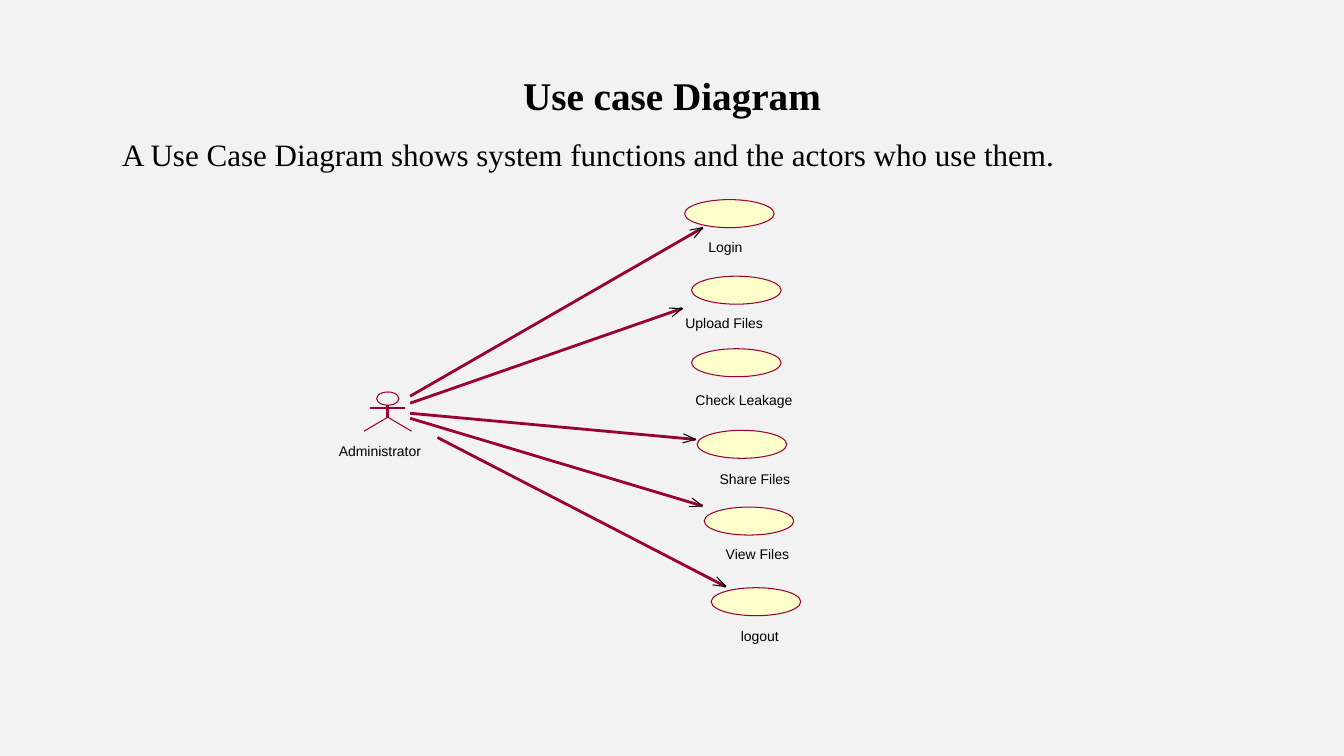
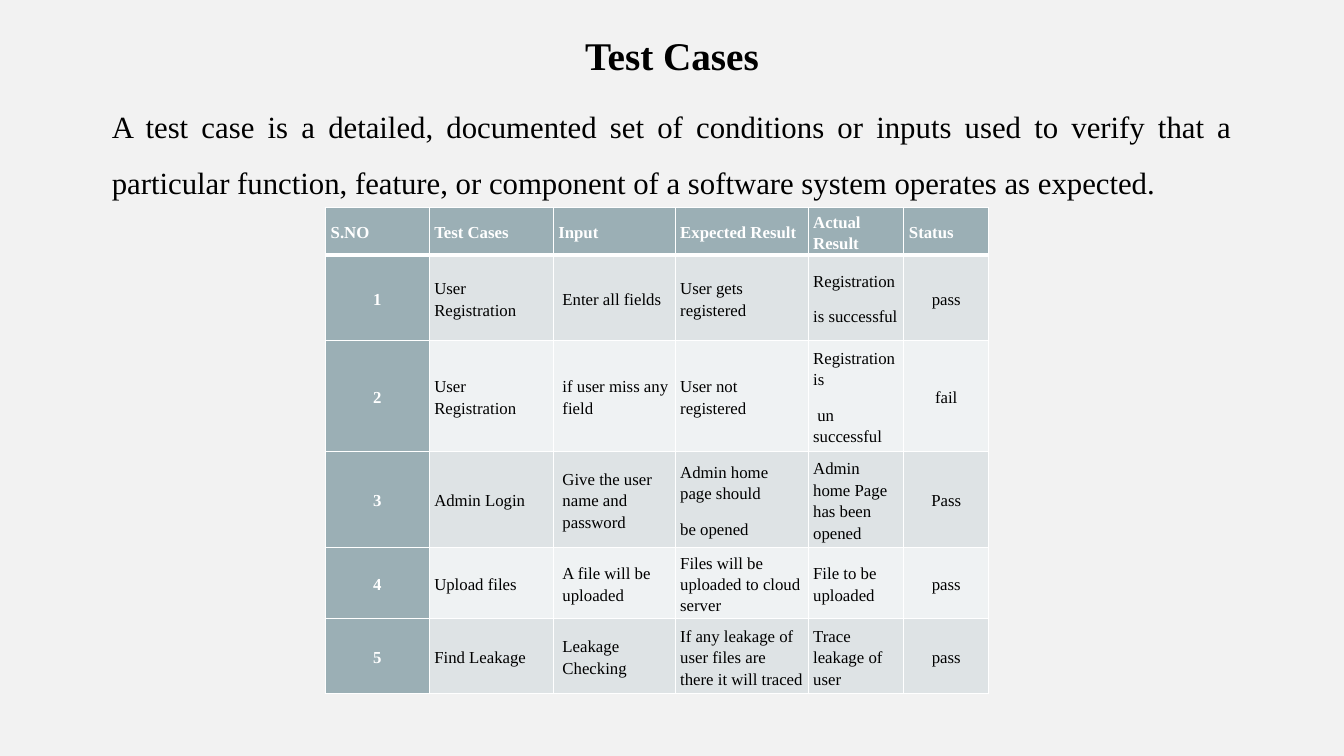
from dataclasses import dataclass
from math import atan2, cos, radians, sin

from lxml.etree import SubElement
from pptx import Presentation
from pptx.dml.color import RGBColor as Color
from pptx.enum.shapes import MSO_CONNECTOR as Connector, MSO_SHAPE as Preset
from pptx.enum.text import MSO_ANCHOR as Anchor, MSO_AUTO_SIZE as AutoSize, PP_ALIGN as Align
from pptx.oxml.ns import qn
from pptx.util import Pt


@dataclass(frozen=True)
class Theme:
    """Colours, fonts and type sizes of the deck."""
    background: str = "F2F2F2"
    text: str = "000000"
    white: str = "FFFFFF"
    outline: str = "990033"
    use_case: str = "FFFFCC"
    header: str = "9BAFB5"
    bands: tuple = ("DEE3E5", "EFF2F3")
    serif: str = "Times New Roman"
    sans: str = "Arial"
    title_size: float = 28
    body_size: float = 22
    table_size: float = 12
    label_size: float = 10


@dataclass(frozen=True)
class Box:
    """A rectangle in points."""
    left: float
    top: float
    width: float
    height: float

    def inner(self, left, top, width=0, height=0):
        """Return a box placed relative to this one."""
        return Box(self.left + left, self.top + top, width, height)

    def point(self, x, y):
        """Return a relative point as slide lengths."""
        return Pt(self.left + x), Pt(self.top + y)

    @property
    def lengths(self):
        """Return left, top, width and height as slide lengths."""
        return Pt(self.left), Pt(self.top), Pt(self.width), Pt(self.height)


THEME = Theme()
SLIDE = Box(0, 0, 960, 540)

USE_CASES = [
    ("Login", (249, 2.6), (266, 28.5), (53, 143), (262, 22.7)),
    ("Upload Files", (254, 57.3), (249.6, 83.2), (53, 148), (247.4, 80.3)),
    ("Check Leakage", (254, 109.1), (256.8, 137.9), None, None),
    ("Share Files", (258, 167.4), (274, 194), (53, 155.2), (256.8, 173.9)),
    ("View Files", (263, 222.2), (278.4, 248), (53, 158.8), (261.8, 221.4)),
    ("logout", (268, 279.8), (289.2, 306.4), (72.5, 172.5), (278.4, 279)),
]

COLUMN_WIDTHS = (74, 88.6, 87.1, 95, 68.4, 60.5)
ROW_HEIGHTS = (33.8, 61.2, 79.2, 68.4, 51.1, 53.3)
TEST_CASES = [
    ("S.NO", "Test Cases", "Input", "Expected Result", "Actual Result", "Status"),
    ("1", "User Registration", "Enter all fields", "User gets registered",
     "Registration\nis successful", "pass"),
    ("2", "User Registration", "if user miss any field", "User not registered",
     "Registration is\n un successful", "fail"),
    ("3", "Admin Login", "Give the user name and password",
     "Admin home page should\nbe opened", "Admin home Page has been opened", "Pass"),
    ("4", "Upload files", "A file will be uploaded",
     "Files will be uploaded to cloud server", "File to be uploaded", "pass"),
    ("5", "Find Leakage", "Leakage Checking",
     "If any leakage of user files are there it will traced",
     "Trace leakage of user", "pass"),
]


def set_font(paragraph, name, size, color=THEME.text, bold=False):
    """Format a whole paragraph."""
    font = paragraph.font
    font.name, font.size, font.bold = name, Pt(size), bold
    font.color.rgb = Color.from_string(color)


def place(shape, box):
    """Move a shape to a box."""
    shape.left, shape.top, shape.width, shape.height = box.lengths


def add_text_slide(presentation, title, title_top, body, body_box, spacing, body_size):
    """Add a slide with a centred title and one justified body paragraph."""
    slide = presentation.slides.add_slide(presentation.slide_layouts[1])
    title_box = Box(SLIDE.left, title_top, SLIDE.width, 41)
    parts = ((slide.shapes.title, title, title_box), (slide.placeholders[1], body, body_box))
    for shape, text, box in parts:
        place(shape, box)
        frame = shape.text_frame
        frame.text = text
        frame.auto_size = AutoSize.NONE
        frame.vertical_anchor = Anchor.TOP
    heading = slide.shapes.title.text_frame.paragraphs[0]
    heading.alignment = Align.CENTER
    set_font(heading, THEME.serif, THEME.title_size, bold=True)
    paragraph = slide.placeholders[1].text_frame.paragraphs[0]
    paragraph.alignment = Align.JUSTIFY
    paragraph.line_spacing = spacing
    paragraph.space_before = Pt(0)
    properties = paragraph._p.get_or_add_pPr()
    properties.set("marL", "0")
    properties.set("indent", "0")
    SubElement(properties, qn("a:buNone"))
    set_font(paragraph, THEME.serif, body_size)
    return slide


def set_outline(shape, color=THEME.outline):
    """Give a shape a hairline."""
    shape.line.color.rgb = Color.from_string(color)
    shape.line.width = Pt(0)


def add_ellipse(shapes, box, fill=None):
    """Add an outlined ellipse, filled when a colour is given."""
    ellipse = shapes.add_shape(Preset.OVAL, *box.lengths)
    ellipse.shadow.inherit = False
    if fill:
        ellipse.fill.solid()
        ellipse.fill.fore_color.rgb = Color.from_string(fill)
    else:
        ellipse.fill.background()
    set_outline(ellipse)


def add_line(shapes, box, start, end):
    """Add a straight line between two points of a box."""
    line = shapes.add_connector(Connector.STRAIGHT, *box.point(*start), *box.point(*end))
    set_outline(line)
    SubElement(line._element.spPr, qn("a:effectLst"))


def add_open_path(shapes, box, points, color=THEME.outline):
    """Add an open outline through points of a box."""
    start, *others = [box.point(*point) for point in points]
    builder = shapes.build_freeform(*start)
    builder.add_line_segments(others, close=False)
    outline = builder.convert_to_shape()
    outline.shadow.inherit = False
    outline.fill.background()
    set_outline(outline, color)


def add_arrow(shapes, box, start, end, length=9.5, spread=radians(20)):
    """Add a line that ends in an open head of its own colour."""
    add_line(shapes, box, start, end)
    angle = atan2(end[1] - start[1], end[0] - start[0])
    wings = [(end[0] - length * cos(angle + turn), end[1] - length * sin(angle + turn))
             for turn in (-spread, spread)]
    add_open_path(shapes, box, (wings[0], end, wings[1]), THEME.text)


def add_label(shapes, box, text):
    """Add a small caption."""
    frame = shapes.add_textbox(*box.lengths).text_frame
    frame.word_wrap = True
    frame.margin_left = frame.margin_top = frame.margin_right = frame.margin_bottom = 0
    frame.text = text
    paragraph = frame.paragraphs[0]
    paragraph.line_spacing = 1.15
    set_font(paragraph, THEME.sans, THEME.label_size)


def add_actor(shapes, box):
    """Add a stick figure that fills a box."""
    middle, hips = box.width / 2, 18
    head_width, head_height = 16, 9.4
    add_ellipse(shapes, box.inner(middle - head_width / 2, 0, head_width, head_height))
    add_line(shapes, box, (middle, head_height), (middle, hips))
    add_line(shapes, box, (middle - 12.5, 11.5), (middle + 12.5, 11.5))
    add_open_path(shapes, box, ((0, box.height), (middle, hips), (box.width, box.height)))


def add_use_cases(slide, box):
    """Add the actor, the use cases and the arrows between them."""
    shapes = slide.shapes.add_group_shape().shapes
    add_actor(shapes, box.inner(20, 140, 34, 28))
    add_label(shapes, box.inner(2, 174, 73, 24), "Administrator")
    for name, oval, label, start, end in USE_CASES:
        add_ellipse(shapes, box.inner(*oval, 64, 20), THEME.use_case)
        add_label(shapes, box.inner(*label, 86, 24), name)
        if start:
            add_arrow(shapes, box, start, end)


def set_borders(cell, top, bottom):
    """Draw white borders round a cell."""
    properties = cell._tc.get_or_add_tcPr()
    for side, width in (("L", 1), ("R", 1), ("T", top), ("B", bottom)):
        line = SubElement(properties, qn(f"a:ln{side}"), w=str(Pt(width)))
        fill = SubElement(line, qn("a:solidFill"))
        SubElement(fill, qn("a:srgbClr"), val=THEME.white)


def fill_cell(cell, text, row, column):
    """Write and format one cell by its place in the table."""
    heading = row == 0 or column == 0
    set_borders(cell, 3 if row == 1 else 1, 3 if row == 0 else 1)
    cell.fill.solid()
    color = THEME.header if heading else THEME.bands[(row - 1) % 2]
    cell.fill.fore_color.rgb = Color.from_string(color)
    cell.vertical_anchor = Anchor.MIDDLE
    cell.margin_left = cell.margin_right = Pt(3.6)
    cell.margin_top, cell.margin_bottom = Pt(0.7), 0
    cell.text = text
    for paragraph in cell.text_frame.paragraphs:
        if row == 0:
            paragraph.alignment = Align.JUSTIFY
        else:
            paragraph.alignment = Align.CENTER if column in (0, 5) else Align.LEFT
        if row and column == 2:
            paragraph._p.get_or_add_pPr().set("marL", str(Pt(3)))
        paragraph.line_spacing = 1.15
        paragraph.space_after = Pt(10)
        set_font(paragraph, THEME.serif, THEME.table_size,
                 THEME.white if heading else THEME.text, heading)


def add_test_table(slide, box):
    """Add the table of test cases."""
    frame = slide.shapes.add_table(len(ROW_HEIGHTS), len(COLUMN_WIDTHS), *box.lengths)
    table = frame.table
    table.horz_banding = False
    for column, width in zip(table.columns, COLUMN_WIDTHS):
        column.width = Pt(width)
    for row, height in zip(table.rows, ROW_HEIGHTS):
        row.height = Pt(height)
    for row, texts in enumerate(TEST_CASES):
        for column, text in enumerate(texts):
            fill_cell(table.cell(row, column), text, row, column)


def main():
    """Build and save the deck."""
    presentation = Presentation()
    presentation.slide_width, presentation.slide_height = Pt(SLIDE.width), Pt(SLIDE.height)
    background = presentation.slide_master.background.fill
    background.solid()
    background.fore_color.rgb = Color.from_string(THEME.background)

    use_case_slide = add_text_slide(
        presentation, "Use case Diagram", 47,
        "A Use Case Diagram shows system functions and the actors who use them.",
        Box(80, 98, 702, 40), 0.8, THEME.body_size + 0.2)
    add_use_cases(use_case_slide, Box(240, 140, 340, 330))

    test_slide = add_text_slide(
        presentation, "Test Cases", 18.7,
        "A test case is a detailed, documented set of conditions or inputs used to verify "
        "that a particular function, feature, or component of a software system operates "
        "as expected.",
        Box(72.7, 60.5, 814.3, 83), 1.5, THEME.body_size)
    add_test_table(test_slide, Box(232.6, 148.3, sum(COLUMN_WIDTHS), sum(ROW_HEIGHTS)))
    presentation.save("out.pptx")


if __name__ == "__main__":
    main()
